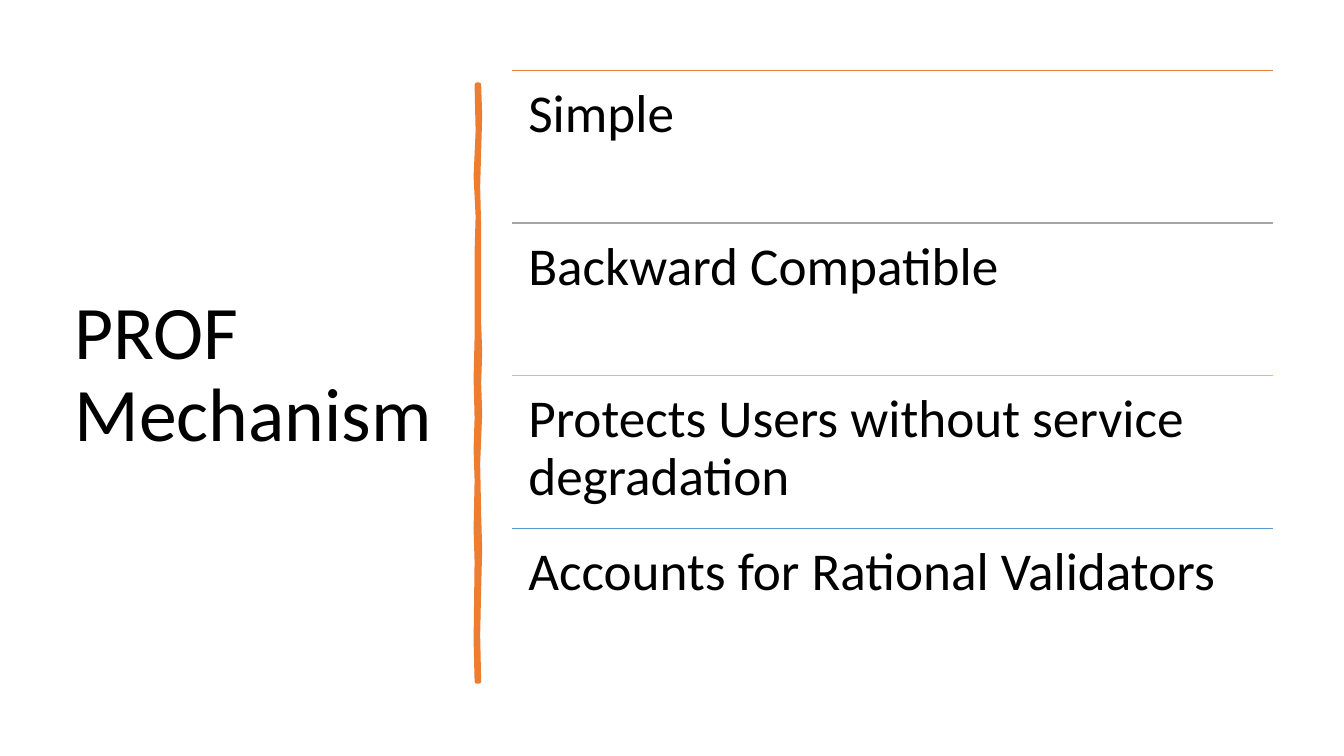
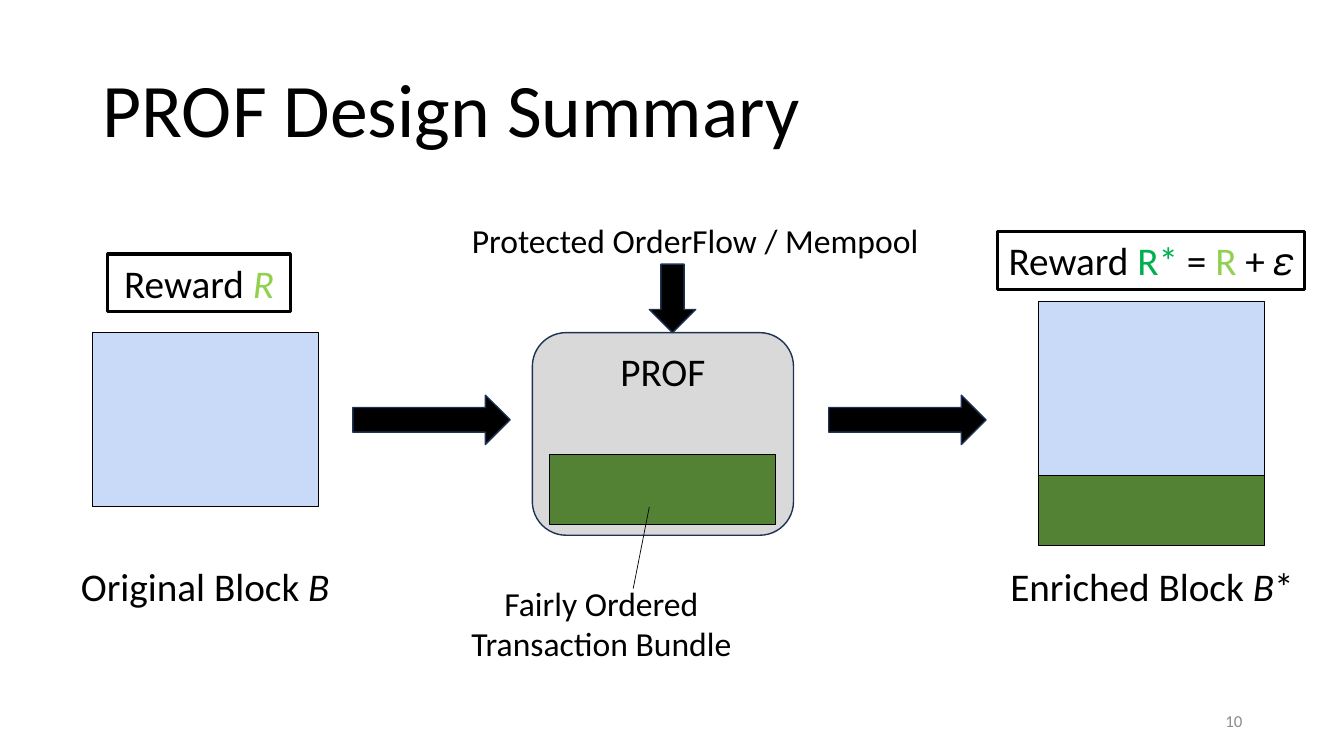
from lxml import etree
from pptx import Presentation
from pptx.dml.color import RGBColor
from pptx.enum.shapes import MSO_CONNECTOR, MSO_SHAPE as SHAPE
from pptx.enum.text import MSO_ANCHOR as ANCHOR, PP_ALIGN as ALIGN
from pptx.oxml.ns import qn
from pptx.util import Inches, Pt

FONT = "Calibri"
BLACK = RGBColor(0x00, 0x00, 0x00)
ORANGE = RGBColor(0xED, 0x7D, 0x31)
GRAY = RGBColor(0xA5, 0xA5, 0xA5)
GOLD = RGBColor(0xFF, 0xC0, 0x00)
BLUE = RGBColor(0x5B, 0x9B, 0xD5)
NAVY = RGBColor(0x1E, 0x32, 0x56)
PANEL = RGBColor(0xD9, 0xD9, 0xD9)
BLOCK = RGBColor(0xC9, 0xDA, 0xF8)
BUNDLE = RGBColor(0x54, 0x82, 0x35)
GREEN = RGBColor(0x00, 0xB0, 0x50)
LIME = RGBColor(0x92, 0xD0, 0x50)
FOOTER = RGBColor(0x8C, 0x8C, 0x8C)

TITLE = dict(size=54, anchor=ANCHOR.MIDDLE, wrap=True, spacing=0.9)


def write(shape, paragraphs, size, align=ALIGN.LEFT, anchor=ANCHOR.TOP,
          wrap=False, spacing=None, color=BLACK):
    """Fill a shape with paragraphs, each a list of (text, color, italic) runs or a string."""
    tf = shape.text_frame
    tf.word_wrap = wrap
    tf.vertical_anchor = anchor
    for i, runs in enumerate(paragraphs):
        p = tf.add_paragraph() if i else tf.paragraphs[0]
        p.alignment = align
        if spacing:
            p.line_spacing = spacing
        if isinstance(runs, str):
            runs = [(runs, color, False)]
        for text, run_color, italic in runs:
            r = p.add_run()
            r.text = text
            r.font.name = FONT
            r.font.size = Pt(size)
            r.font.italic = italic
            r.font.color.rgb = run_color
    return tf


def add_box(s, preset, box, fill, line, width):
    sp = s.shapes.add_shape(preset, *map(Inches, box))
    sp.shadow.inherit = False
    if fill is None:
        sp.fill.background()
    else:
        sp.fill.solid()
        sp.fill.fore_color.rgb = fill
    sp.line.color.rgb = line
    sp.line.width = Pt(width)
    return sp


prs = Presentation()
prs.slide_width, prs.slide_height = Inches(13.33), Inches(7.5)
blank = prs.slide_layouts[6]

# Slide 1: title
s = prs.slides.add_slide(blank)
title = s.shapes.add_textbox(Inches(0.64), Inches(0.7), Inches(3.91), Inches(6.06))
write(title, ["PROF Mechanism"], **TITLE)

# Hand-drawn vertical rule: down the right edge, back up the left one
right_edge = [(4.75, 0.84), (4.76, 1.15), (4.75, 1.5), (4.74, 1.85), (4.75, 2.26),
              (4.75, 3.2), (4.76, 3.5), (4.75, 3.8), (4.76, 4.1), (4.74, 4.6),
              (4.75, 5.1), (4.76, 5.45), (4.75, 5.84), (4.74, 6.3), (4.75, 6.76)]
left_edge = [(4.73, 6.76), (4.72, 6.35), (4.73, 5.57), (4.72, 5.25), (4.73, 4.77),
             (4.72, 4.45), (4.73, 4.15), (4.72, 3.75), (4.73, 3.35), (4.73, 2.5),
             (4.74, 2.15), (4.72, 1.75), (4.74, 1.3), (4.73, 0.84)]
outline = [(Inches(x), Inches(y)) for x, y in right_edge + left_edge]
builder = s.shapes.build_freeform(*outline[0])
builder.add_line_segments(outline[1:], close=True)
rule = builder.convert_to_shape()
rule.shadow.inherit = False
rule.fill.solid()
rule.fill.fore_color.rgb = ORANGE
rule.line.color.rgb = ORANGE
rule.line.width = Pt(3.25)

# Ruled list of properties
properties = [("Simple", ORANGE), ("Backward Compatible", GRAY),
              ("Protects Users without service degradation", GOLD),
              ("Accounts for Rational Validators", BLUE)]
left, top, width, row = 5.08, 0.7, 7.55, 1.514
for i, (text, color) in enumerate(properties):
    y = Inches(top + i * row)
    line = s.shapes.add_connector(MSO_CONNECTOR.STRAIGHT, Inches(left), y,
                                  Inches(left + width), y)
    line.line.color.rgb = color
    line.line.width = Pt(1)
    tb = s.shapes.add_textbox(Inches(left), y, Inches(width), Inches(row))
    tf = write(tb, [text], 38, wrap=True, spacing=0.9)
    tf.margin_left = tf.margin_right = Inches(0.16)
    tf.margin_top = tf.margin_bottom = Inches(0.16)

# Slide 2: panel and title
s = prs.slides.add_slide(blank)
panel = add_box(s, SHAPE.ROUNDED_RECTANGLE, (5.28, 3.3, 2.59, 2.01), PANEL, NAVY, 1)
write(panel, ["PROF"], 28, ALIGN.CENTER, wrap=True)
title = s.shapes.add_textbox(Inches(0.92), Inches(0.4), Inches(11.5), Inches(1.45))
write(title, ["PROF Design Summary"], **TITLE)

# Arrows
for box, angle in [((3.5, 3.92, 1.56, 0.49), 0), ((8.22, 3.92, 1.56, 0.49), 0),
                   ((6.33, 2.73, 0.68, 0.46), 90)]:
    add_box(s, SHAPE.RIGHT_ARROW, box, BLACK, NAVY, 1).rotation = angle

# Blocks and transaction bundles
block_w, block_h, bundle_h = 2.24, 1.73, 0.69
for x, y, h, fill in [(10.3, 2.99 + block_h, bundle_h, BUNDLE),
                      (10.3, 2.99, block_h, BLOCK),
                      (0.92, 3.3, block_h, BLOCK),
                      (5.45, 4.51, bundle_h, BUNDLE)]:
    add_box(s, SHAPE.RECTANGLE, (x, y, block_w, h), fill, BLACK, 0.75)

# Leader from the bundle to its label
leader = s.shapes.add_connector(MSO_CONNECTOR.STRAIGHT, Inches(6.44), Inches(5.03),
                                Inches(6.28), Inches(5.84))
leader.line.color.rgb = BLACK
leader.line.width = Pt(0.5)

# Labels
labels = [
    ((0.69, 5.53, 2.69, 0.57), 28,
     [[("Original Block ", BLACK, False), ("B", BLACK, True)]]),
    ((9.9, 5.53, 3.05, 0.57), 28,
     [[("Enriched Block ", BLACK, False), ("B", BLACK, True), ("*", BLACK, False)]]),
    ((4.56, 2.13, 4.67, 0.5), 24, ["Protected OrderFlow / Mempool"]),
    ((4.56, 5.73, 2.81, 0.91), 24, ["Fairly Ordered", "Transaction Bundle"]),
]
for box, size, paragraphs in labels:
    write(s.shapes.add_textbox(*map(Inches, box)), paragraphs, size, ALIGN.CENTER)

# Reward boxes
rewards = [
    ((9.89, 2.3, 3.05, 0.57),
     [("Reward ", BLACK, False), ("R*", GREEN, False), (" = ", BLACK, False),
      ("R", LIME, False), (" + 𝜀", BLACK, False)]),
    ((1.07, 2.52, 1.81, 0.57), [("Reward ", BLACK, False), ("R", LIME, True)]),
]
for box, runs in rewards:
    write(add_box(s, SHAPE.RECTANGLE, box, None, BLACK, 2.25), [runs], 28, ALIGN.CENTER)

# Slide number
number = s.shapes.add_textbox(Inches(9.42), Inches(6.95), Inches(3), Inches(0.4))
write(number, ["10"], 12, ALIGN.RIGHT, ANCHOR.MIDDLE, wrap=True, color=FOOTER)

# Connectors carry no shadow
for s in prs.slides:
    for cxn in s.shapes._spTree.iter(qn("p:cxnSp")):
        etree.SubElement(cxn.find(qn("p:spPr")), qn("a:effectLst"))

prs.save("out.pptx")
